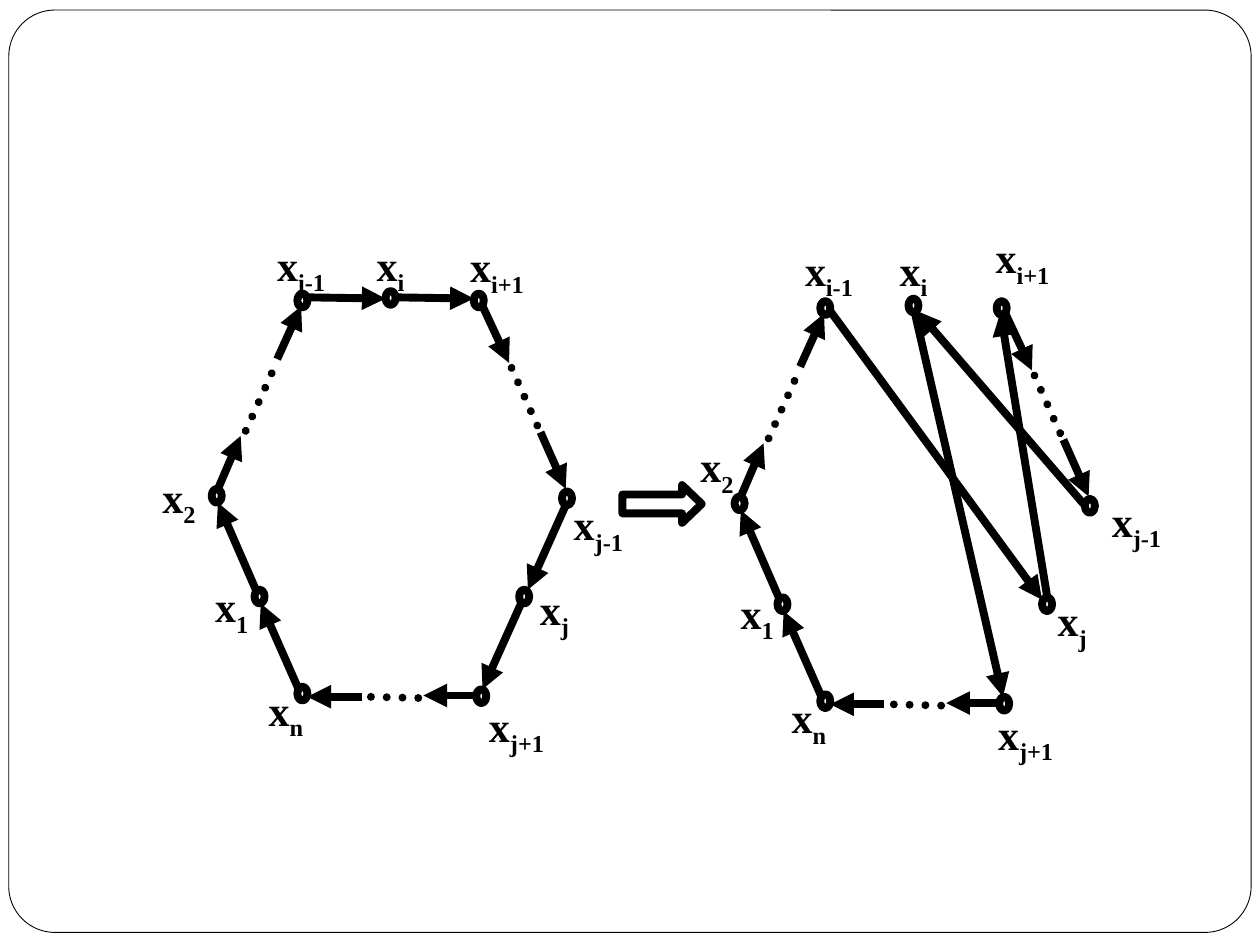
from lxml.etree import SubElement
from pptx import Presentation
from pptx.dml.color import RGBColor
from pptx.enum.dml import MSO_LINE
from pptx.enum.shapes import MSO_CONNECTOR, MSO_SHAPE
from pptx.enum.text import PP_ALIGN
from pptx.oxml.ns import qn
from pptx.util import Inches, Pt

# The slide is a grid of 100 columns by 75 rows; all lengths are in cells.
CELL = 0.1
COLUMNS, ROWS = 100, 75
INK, PAPER = "000000", "FFFFFF"
FONT = "Times New Roman"
STROKE = 4.5
NODE_WIDTH, NODE_HEIGHT = 0.8, 1.1
LABEL_WIDTH, LABEL_HEIGHT = 6.4, 5.1

# Node corners and arrows are measured from the corner of a tour's box.
NODES = [(27.8, 15.9), (3.4, 23.7), (21, 31.6), (6.8, 31.4), (20.8, 0.2),
         (6.8, 0.2), (0, 15.7), (24.4, 23.7), (13.8, 0)]
SHARED_ARROWS = [
    ((6.9, 31.6), (3.9, 24.8)), ((3.5, 23.7), (0.5, 16.8)),
    ((21.5, 1.2), (23.6, 5.7)), ((26.1, 11.2), (28.1, 15.7)),
    ((0.5, 15.7), (2.3, 11.5)), ((5.2, 5.4), (7.1, 1.2)),
    ((20.9, 32.1), (16.8, 32.1)), ((11.9, 32.2), (7.6, 32.2)),
]
OMITTED_STRETCHES = [((2.7, 11.1), (5, 6)), ((16.4, 32.3), (12.4, 32.2)),
                     ((23.8, 6.1), (25.9, 10.8))]

BEFORE_ARROWS = [
    ((28.1, 17), (25.1, 23.7)), ((24.6, 24.7), (21.5, 31.6)),
    ((7.6, 0.5), (13.8, 0.6)), ((14.6, 0.5), (20.8, 0.6)),
]
AFTER_ARROWS = [
    ((7.6, 1), (24.4, 23.9)), ((24.8, 23.6), (21.1, 1.1)),
    ((27.7, 16.3), (14.5, 1)), ((14.3, 1.1), (21.3, 31.6)),
]

# Subscript: left, top and, where it differs, width of the label.
BEFORE_LABELS = {
    "1": (-1.6, 22.5), "2": (-5.8, 13.8), "n": (2.7, 30.7),
    "j+1": (19.9, 32, 8.6), "j": (24, 22.7), "j-1": (27.5, 16),
    "i-1": (3.9, -4.6), "i": (11, -4.6), "i+1": (18.7, -4.5, 7.9),
}
AFTER_LABELS = {
    "1": (-1.4, 22.4), "2": (-4.6, 10.8), "n": (2.7, 30.7),
    "j+1": (19.9, 32), "j": (23.6, 23), "j-1": (28.7, 15.1),
    "i-1": (4.3, -4.8), "i": (11, -4.8), "i+1": (18.7, -5.8, 8.3),
}


def cells(*counts):
    return [Inches(count * CELL) for count in counts]


def color(hex_string):
    return RGBColor.from_string(hex_string)


def add_outlined(slide, preset, left, top, width, height, stroke=STROKE):
    shape = slide.shapes.add_shape(preset, *cells(left, top, width, height))
    shape.shadow.inherit = False
    shape.fill.solid()
    shape.fill.fore_color.rgb = color(PAPER)
    shape.line.color.rgb = color(INK)
    shape.line.width = Pt(stroke)
    return shape


def add_edge(slide, start, end, dotted=False):
    """Draw a solid arrow, or a dotted line without a head."""
    edge = slide.shapes.add_connector(MSO_CONNECTOR.STRAIGHT, *cells(*start, *end))
    edge.line.color.rgb = color(INK)
    edge.line.width = Pt(STROKE)
    properties = edge._element.spPr
    outline = properties.find(qn("a:ln"))
    if dotted:
        edge.line.dash_style = MSO_LINE.ROUND_DOT
        outline.set("cap", "rnd")
    else:
        SubElement(outline, qn("a:tailEnd"), type="triangle")
    SubElement(properties, qn("a:effectLst"))


def add_label(slide, subscript, left, top, width=LABEL_WIDTH):
    label = slide.shapes.add_textbox(*cells(left, top, width, LABEL_HEIGHT))
    label.text_frame.word_wrap = False
    paragraph = label.text_frame.paragraphs[0]
    paragraph.alignment = PP_ALIGN.CENTER
    for text in ("x", subscript):
        run = paragraph.add_run()
        run.text = text
        run.font.name = FONT
        run.font.size = Pt(24)
        run.font.bold = True
        run.font.color.rgb = color(INK)
    run.font._element.set("baseline", "-25000")


def add_tour(slide, left, top, own_arrows, labels):
    def place(point):
        return left + point[0], top + point[1]

    for node in NODES:
        add_outlined(slide, MSO_SHAPE.OVAL, *place(node), NODE_WIDTH, NODE_HEIGHT)
    for start, end in SHARED_ARROWS + own_arrows:
        add_edge(slide, place(start), place(end))
    for start, end in OMITTED_STRETCHES:
        add_edge(slide, place(start), place(end), dotted=True)
    for subscript, (x, y, *width) in labels.items():
        add_label(slide, subscript, *place((x, y)), *width)


def add_frame(slide):
    frame = add_outlined(slide, MSO_SHAPE.ROUNDED_RECTANGLE, 0.7, 0.8, 98.6, 73.2, 0.5)
    frame.adjustments[0] = 0.05


def add_step_arrow(slide, left, top):
    arrow = add_outlined(slide, MSO_SHAPE.RIGHT_ARROW, left, top, 6.3, 3)
    arrow.adjustments[1] = 0.52


def main():
    presentation = Presentation()
    presentation.slide_width, presentation.slide_height = cells(COLUMNS, ROWS)
    slide = presentation.slides.add_slide(presentation.slide_layouts[6])
    add_frame(slide)
    add_tour(slide, 16.8, 23.1, BEFORE_ARROWS, BEFORE_LABELS)
    add_step_arrow(slide, 49.4, 38.5)
    add_tour(slide, 58.3, 23.7, AFTER_ARROWS, AFTER_LABELS)
    presentation.save("out.pptx")


if __name__ == "__main__":
    main()
